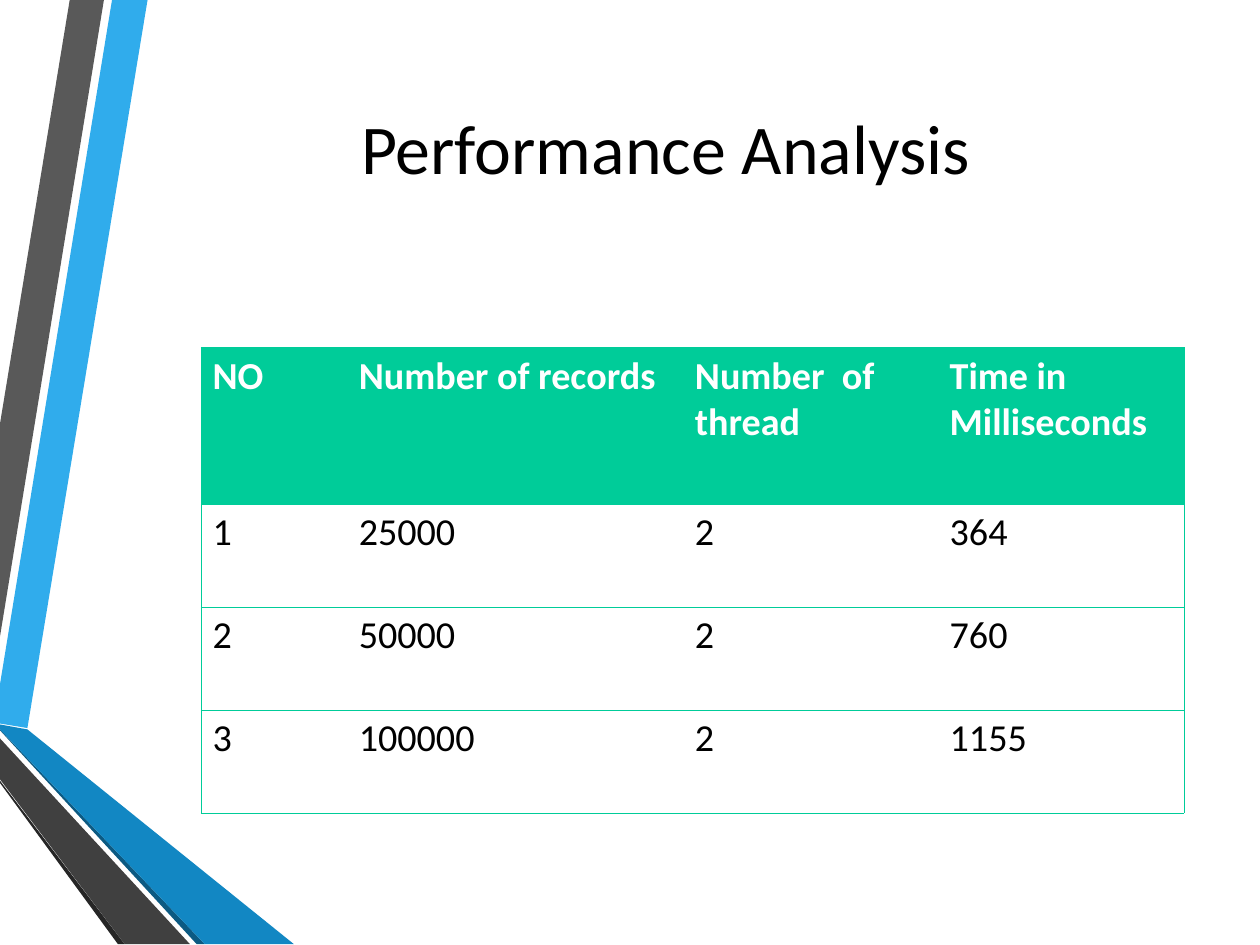
from dataclasses import dataclass

from lxml import etree
from pptx import Presentation
from pptx.dml.color import RGBColor
from pptx.enum.text import MSO_ANCHOR, PP_ALIGN
from pptx.oxml.ns import qn
from pptx.util import Cm, Pt

CENTER = PP_ALIGN.CENTER
MIDDLE = MSO_ANCHOR.MIDDLE
TITLE_ONLY = 5


@dataclass(frozen=True)
class Theme:
    font: str = "Calibri"
    title_size: int = 44
    table_size: int = 24
    border_width: float = 0.34
    text: str = "000000"
    header_text: str = "FFFFFF"
    accent: str = "00CC99"
    blue: str = "30ACEC"
    blue_mid: str = "1287C3"
    blue_dark: str = "0C5A82"
    gray: str = "595959"
    gray_mid: str = "404040"
    gray_dark: str = "262626"


THEME = Theme()


def format_run(run, size, color, bold=False):
    run.font.name = THEME.font
    run.font.size = Pt(size)
    run.font.bold = bold
    run.font.color.rgb = RGBColor.from_string(color)


def set_borders(cell, visible_sides):
    """Draw the named sides (L, R, T, B) and clear the others."""
    properties = cell._tc.get_or_add_tcPr()
    for side in "LRTB":
        line = etree.SubElement(properties, qn(f"a:ln{side}"), w=str(Pt(THEME.border_width)))
        if side in visible_sides:
            fill = etree.SubElement(line, qn("a:solidFill"))
            etree.SubElement(fill, qn("a:srgbClr"), val=THEME.accent)
        else:
            etree.SubElement(line, qn("a:noFill"))


presentation = Presentation()
presentation.slide_width = Cm(28)
presentation.slide_height = Cm(21)
slide = presentation.slides.add_slide(presentation.slide_layouts[TITLE_ONLY])

# Ribbons along the left edge, corner points in centimetres
ribbons = [
    (THEME.blue, [(0, 15.21), (0, 16.08), (0.61, 16.18), (3.28, 0), (2.49, 0)]),
    (THEME.gray, [(2.31, 0), (1.55, 0), (0, 9.42), (0, 14.15)]),
    (THEME.gray_dark, [(0, 17.35), (0, 17.4), (2.62, 20.98), (2.77, 20.98)]),
    (THEME.blue_dark, [(0, 16.21), (0, 16.23), (4.37, 20.98), (4.55, 20.98)]),
    (THEME.blue_mid, [(0, 16.21), (4.55, 20.98), (6.53, 20.98), (0.61, 16.21), (0, 16.1)]),
    (THEME.gray_mid, [(0, 17.32), (2.77, 20.98), (4.22, 20.98), (0, 16.41)]),
]
for color, corners in ribbons:
    points = [(Cm(x), Cm(y)) for x, y in corners]
    builder = slide.shapes.build_freeform(*points[0])
    builder.add_line_segments(points[1:], close=True)
    ribbon = builder.convert_to_shape()
    ribbon.shadow.inherit = False
    ribbon.fill.solid()
    ribbon.fill.fore_color.rgb = RGBColor.from_string(color)
    ribbon.line.fill.background()

# Title
title = slide.shapes.title
title.left, title.top, title.width, title.height = Cm(3), Cm(1.4), Cm(23.6), Cm(3.73)
title.text_frame.text = "Performance Analysis"
title.text_frame.vertical_anchor = MIDDLE
title_paragraph = title.text_frame.paragraphs[0]
title_paragraph.alignment = CENTER
format_run(title_paragraph.runs[0], THEME.title_size, THEME.text)

# Measurements
rows = [
    ("NO", "Number of records", "Number  of thread", "Time in  Milliseconds"),
    ("1", "25000", "2", "364"),
    ("2", "50000", "2", "760"),
    ("3", "100000", "2", "1155"),
]
column_widths = [3.25, 7.47, 5.66, 5.46]
row_heights = [3.48, 2.29, 2.29, 2.29]
table = slide.shapes.add_table(
    len(rows), len(column_widths), Cm(4.47), Cm(7.72),
    Cm(sum(column_widths)), Cm(sum(row_heights)),
).table
table.horz_banding = False
for column, width in zip(table.columns, column_widths):
    column.width = Cm(width)
for row, height in zip(table.rows, row_heights):
    row.height = Cm(height)

last_column = len(column_widths) - 1
for row_index, row_texts in enumerate(rows):
    is_header = row_index == 0
    for column_index, text in enumerate(row_texts):
        cell = table.cell(row_index, column_index)
        outer_side = {0: "L", last_column: "R"}.get(column_index, "")
        set_borders(cell, "TB" + outer_side)
        if is_header:
            cell.fill.solid()
            cell.fill.fore_color.rgb = RGBColor.from_string(THEME.accent)
        else:
            cell.fill.background()
        cell.text_frame.text = text
        text_color = THEME.header_text if is_header else THEME.text
        format_run(cell.text_frame.paragraphs[0].runs[0], THEME.table_size, text_color, is_header)

presentation.save("out.pptx")
